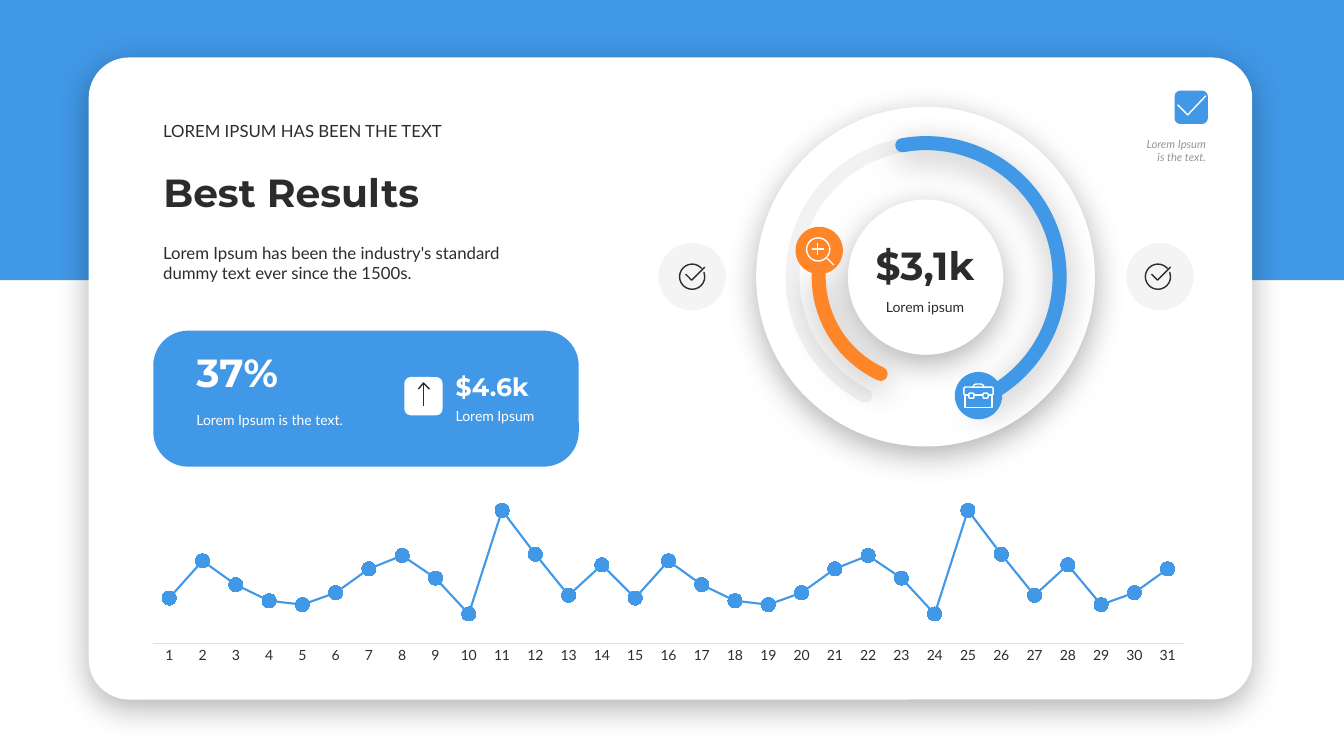
"""Build the "Best Results" dashboard slide with a dial, a figure card and a line chart."""
from lxml import etree
from pptx import Presentation
from pptx.chart.data import CategoryChartData
from pptx.dml.color import RGBColor
from pptx.enum.chart import XL_CHART_TYPE as ChartType, XL_MARKER_STYLE as Marker
from pptx.enum.chart import XL_TICK_MARK as Tick
from pptx.enum.shapes import MSO_SHAPE as Shape
from pptx.enum.text import MSO_ANCHOR as Anchor, MSO_AUTO_SIZE as AutoSize, PP_ALIGN as Align
from pptx.oxml import parse_xml
from pptx.oxml.ns import nsdecls, qn
from pptx.util import Inches, Pt

BLUE = RGBColor(0x41, 0x98, 0xE7)
ORANGE = RGBColor(0xFF, 0x85, 0x29)
WHITE = RGBColor(0xFF, 0xFF, 0xFF)
INK = RGBColor(0x2C, 0x2C, 0x2C)
GREY = RGBColor(0x96, 0x96, 0x96)
AXIS = RGBColor(0xDF, 0xDF, 0xDF)
SHADOW = (
    f'<a:outerShdw {nsdecls("a")} blurRad="{Pt(23)}" dist="{Pt(6)}" dir="5400000" '
    'algn="t" rotWithShape="0"><a:srgbClr val="000000"><a:alpha val="30000"/>'
    '</a:srgbClr></a:outerShdw>'
)

deck = Presentation()
deck.slide_width, deck.slide_height = Inches(13.33), Inches(7.5)
page = deck.slides.add_slide(deck.slide_layouts[5])


def add_preset(kind, at, fill=None, line=None, weight=1, adjust=(), shadow=False, faint=False):
    shape = page.shapes.add_shape(kind, *map(Inches, at))
    for index, value in enumerate(adjust):
        shape.adjustments[index] = value
    if fill is None:
        shape.fill.background()
    else:
        shape.fill.solid()
        shape.fill.fore_color.rgb = fill
    if line is None:
        shape.line.fill.background()
    else:
        shape.line.color.rgb = line
        shape.line.width = Pt(weight)
        shape.element.spPr.find(qn("a:ln")).set("cap", "rnd")
    shape.shadow.inherit = False
    if shadow:
        shape.element.spPr.find(qn("a:effectLst")).append(parse_xml(SHADOW))
    if faint:
        color = next(shape.element.spPr.iter(qn("a:srgbClr")))
        etree.SubElement(color, qn("a:alpha")).set("val", "5000")


def format_text(box, at, text, size, font, color, align, anchor, side):
    box.left, box.top, box.width, box.height = map(Inches, at)
    frame = box.text_frame
    frame.text = text
    frame.word_wrap = True
    frame.auto_size = AutoSize.SHAPE_TO_FIT_TEXT
    frame.vertical_anchor = anchor
    frame.margin_left = frame.margin_right = Inches(side)
    frame.margin_top = frame.margin_bottom = Inches(0.05)
    para = frame.paragraphs[0]
    para.alignment = align
    para.font.name, para.font.size = font, Pt(size)
    para.font.bold = font == "Montserrat"
    para.font.italic = color == GREY
    para.font.color.rgb = color


add_preset(Shape.RECTANGLE, (0, 0, 13.33, 2.78), BLUE)
add_preset(Shape.ROUNDED_RECTANGLE, (0.88, 0.57, 11.54, 6.37), WHITE, adjust=[0.063], shadow=True)

outer_ring, inner_ring = (7.86, 1.42, 2.65, 2.65), (8.12, 1.68, 2.13, 2.13)
add_preset(Shape.OVAL, (7.5, 1.06, 3.36, 3.37), WHITE, shadow=True)
add_preset(Shape.ARC, outer_ring, line=INK, weight=10, adjust=(70.27, 39.65), faint=True)
add_preset(Shape.OVAL, (8.41, 1.98, 1.54, 1.54), WHITE, shadow=True)
add_preset(Shape.ARC, outer_ring, line=BLUE, weight=10, adjust=(155.86, 39.41), shadow=True)
add_preset(Shape.ARC, inner_ring, line=ORANGE, weight=10, adjust=(69.02, 108.79), shadow=True)
add_preset(Shape.OVAL, (9.47, 3.69, 0.47, 0.47), BLUE)
add_preset(Shape.OVAL, (7.89, 2.25, 0.47, 0.47), ORANGE)

add_preset(Shape.ROUNDED_RECTANGLE, (11.65, 0.9, 0.33, 0.33), BLUE)
add_preset(Shape.ROUNDED_RECTANGLE, (1.52, 3.28, 4.22, 1.35), BLUE, adjust=[0.257])
add_preset(Shape.ROUNDED_RECTANGLE, (4.01, 3.74, 0.38, 0.38), WHITE)

strokes = [
    (WHITE, [(11.68, 1.04), (11.78, 1.14), (11.96, 0.95)]),
    (INK, [(4.15, 3.86), (4.2, 3.8), (4.26, 3.86)]),
    (INK, [(4.2, 3.8), (4.2, 4.03)]),
    (WHITE, [(8.05, 2.47), (8.17, 2.47)]),
    (WHITE, [(8.11, 2.41), (8.11, 2.53)]),
    (WHITE, [(8.2, 2.56), (8.27, 2.63)]),
    (WHITE, [(9.65, 3.84), (9.66, 3.82), (9.68, 3.81), (9.73, 3.81), (9.75, 3.82), (9.76, 3.84)]),
]
for disc, icon in ((6.53, 6.73), (11.17, 11.35)):
    add_preset(Shape.OVAL, (disc, 2.41, 0.67, 0.67), INK, faint=True)
    add_preset(Shape.ARC, (icon + 0.01, 2.62, 0.25, 0.25), line=INK, adjust=(204, 190.8))
    strokes.append((INK, [(icon + 0.07, 2.72), (icon + 0.13, 2.78), (icon + 0.26, 2.65)]))

add_preset(Shape.OVAL, (8, 2.36, 0.23, 0.23), line=WHITE)
add_preset(Shape.RECTANGLE, (9.57, 3.92, 0.27, 0.12), line=WHITE)
add_preset(Shape.ROUNDED_RECTANGLE, (9.56, 3.84, 0.29, 0.08), line=WHITE)
for clasp in (9.61, 9.75):
    add_preset(Shape.ROUNDED_RECTANGLE, (clasp, 3.9, 0.05, 0.05), BLUE, WHITE)

for color, points in strokes:
    corners = [(Inches(x), Inches(y)) for x, y in points]
    builder = page.shapes.build_freeform(*corners[0])
    builder.add_line_segments(corners[1:], close=False)
    stroke = builder.convert_to_shape()
    stroke.fill.background()
    stroke.line.color.rgb = color
    stroke.line.width = Pt(1)
    stroke.shadow.inherit = False

title = page.shapes.title
title.element.getparent().append(title.element)
format_text(title, (1.52, 1.62, 3.68, 0.57), "Best Results", 28, "Montserrat", INK,
            Align.LEFT, Anchor.BOTTOM, 0.1)

texts = [
    ((1.52, 1.15, 3.68, 0.3), "LOREM IPSUM HAS BEEN THE TEXT", 12, "Lato", INK,
     Align.LEFT, Anchor.BOTTOM, 0.1),
    ((1.52, 2.36, 3.68, 0.5),
     "Lorem Ipsum has been the industry's standard dummy text ever since the 1500s.",
     12, "Lato", INK, Align.LEFT, Anchor.TOP, 0.1),
    ((8.36, 2.34, 1.63, 0.57), "$3,1k", 28, "Montserrat", INK, Align.CENTER, Anchor.BOTTOM, 0.08),
    ((8.36, 2.91, 1.63, 0.27), "Lorem ipsum", 10, "Lato", INK, Align.CENTER, Anchor.TOP, 0.1),
    ((11.24, 1.31, 0.82, 0.37), "Lorem Ipsum is the text.", 8, "Lato", GREY,
     Align.RIGHT, Anchor.TOP, 0.1),
    ((1.85, 3.4, 1.88, 0.57), "37%", 28, "Montserrat", WHITE, Align.LEFT, Anchor.BOTTOM, 0.1),
    ((1.85, 4.03, 1.84, 0.27), "Lorem Ipsum is the text.", 10, "Lato", WHITE,
     Align.LEFT, Anchor.TOP, 0.1),
    ((4.52, 3.63, 1.04, 0.4), "$4.6k", 18, "Montserrat", WHITE, Align.LEFT, Anchor.BOTTOM, 0),
    ((4.52, 3.99, 1.04, 0.27), "Lorem Ipsum", 10, "Lato", WHITE, Align.LEFT, Anchor.TOP, 0),
]
for at, *style in texts:
    format_text(page.shapes.add_textbox(*map(Inches, at)), at, *style)

data = CategoryChartData()
data.categories = [str(day) for day in range(1, 32)]
data.add_series("Series 1", [
    34, 62, 44, 32, 29, 38, 56, 66, 49, 22, 100, 67, 36, 59, 34, 62,
    44, 32, 29, 38, 56, 66, 49, 22, 100, 67, 36, 59, 29, 38, 56,
])
chart = page.shapes.add_chart(
    ChartType.LINE_MARKERS_STACKED, *map(Inches, (1.3, 4.8, 10.66, 1.84)), data).chart
chart.has_legend = chart.has_title = False
chart.font.name, chart.font.size = "Lato", Pt(10)
chart.font.color.rgb = INK
days, values = chart.category_axis, chart.value_axis
days.major_tick_mark = days.minor_tick_mark = Tick.NONE
days.has_major_gridlines = False
days.format.line.color.rgb = AXIS
days.format.line.width = Pt(0.75)
values.visible = values.has_major_gridlines = False
values.minimum_scale, values.maximum_scale = 0, 120

plot = chart.plots[0]
plot.vary_by_categories = False
series = plot.series[0]
series.smooth = False
series.format.line.color.rgb = BLUE
series.format.line.width = Pt(1.5)
series.marker.style, series.marker.size = Marker.CIRCLE, 10
series.marker.format.fill.solid()
series.marker.format.fill.fore_color.rgb = BLUE
series.marker.format.line.color.rgb = BLUE

area = chart.element.find(".//" + qn("c:plotArea"))
for old in area.findall(qn("c:layout")):
    area.remove(old)
area.insert(0, parse_xml(
    f'<c:layout {nsdecls("c")}><c:manualLayout><c:layoutTarget val="inner"/>'
    '<c:xMode val="edge"/><c:yMode val="edge"/><c:x val="0.02"/><c:y val="0"/>'
    '<c:w val="0.96"/><c:h val="0.86"/></c:manualLayout></c:layout>'))

deck.save("out.pptx")
